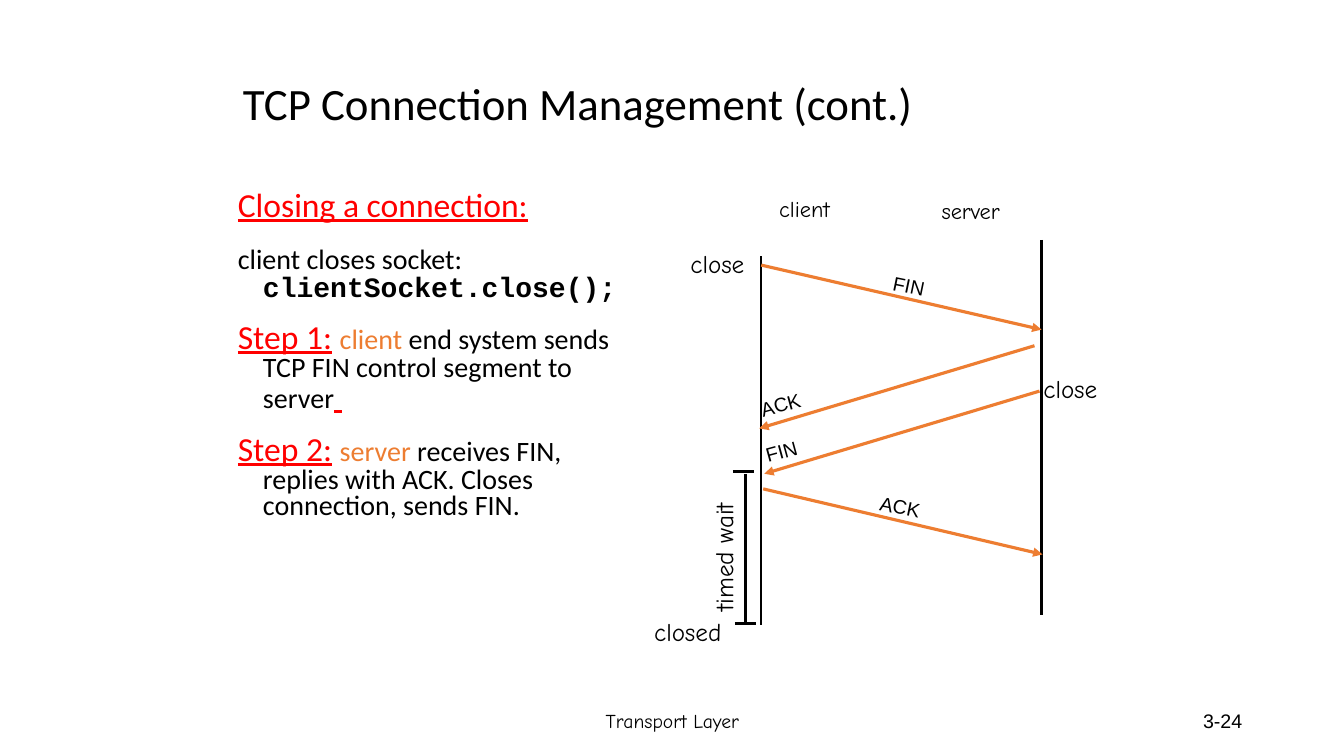
import pptx
import pptx.util
import pptx.dml.color
import pptx.enum.shapes
import pptx.enum.text
import pptx.oxml
import pptx.oxml.ns

Inches = pptx.util.Inches
Pt = pptx.util.Pt
ALIGN = pptx.enum.text.PP_ALIGN
ANCHOR = pptx.enum.text.MSO_ANCHOR
COLORS = {"black": "000000", "red": "FF0000", "orange": "ED7D31"}
HAND = "Comic Neue"
LEFT, RIGHT = 7.55, 10.33


def paint(color):
    return pptx.dml.color.RGBColor.from_string(COLORS[color])


def style(run, size=20, face="Calibri", color="black", bold=False, under=False):
    font = run.font
    font.size = Pt(size)
    font.name = face
    font.color.rgb = paint(color)
    font.bold = bold
    font.underline = under


def place(shape, box):
    shape.left, shape.top, shape.width, shape.height = map(Inches, box)


def text(slide, words, box, turn=0, wrap=False, align=ALIGN.LEFT,
         anchor=ANCHOR.TOP, **look):
    shape = slide.shapes.add_textbox(*map(Inches, box))
    shape.rotation = turn
    frame = shape.text_frame
    frame.word_wrap = wrap
    frame.vertical_anchor = anchor
    para = frame.paragraphs[0]
    para.alignment = align
    run = para.add_run()
    run.text = words
    style(run, **look)


def line(slide, start, end, color="black", width=2.25, arrow=False):
    kind = pptx.enum.shapes.MSO_CONNECTOR.STRAIGHT
    link = slide.shapes.add_connector(kind, *map(Inches, start + end))
    link.line.color.rgb = paint(color)
    link.line.width = Pt(width)
    if arrow:
        tail = pptx.oxml.parse_xml(
            f'<a:tailEnd {pptx.oxml.ns.nsdecls("a")} type="triangle"/>')
        link.line._get_or_add_ln().append(tail)
    link._element.spPr.append(
        pptx.oxml.parse_xml(f'<a:effectLst {pptx.oxml.ns.nsdecls("a")}/>'))


def title(slide, words):
    shape = slide.shapes.title
    place(shape, (2.31, 0.56, 8.5, 0.98))
    frame = shape.text_frame
    frame.auto_size = pptx.enum.text.MSO_AUTO_SIZE.NONE
    frame.vertical_anchor = ANCHOR.MIDDLE
    para = frame.paragraphs[0]
    para.alignment = ALIGN.LEFT
    para.line_spacing = 0.9
    run = para.add_run()
    run.text = words
    style(run, size=32)


def body(slide):
    head = {"size": 24, "color": "red", "under": True}
    gap = {"size": 24}
    accent = {"color": "orange"}
    code = {"face": "Courier New", "bold": True}
    paras = [
        [("Closing a connection:", head)],
        [("client closes socket:", {}), (" ", head),
         ("clientSocket.close();", code)],
        [("Step 1:", head), (" ", gap), ("client", accent),
         (" end system sends TCP FIN control segment to server", {}),
         (" ", head)],
        [("Step 2:", head), (" ", gap), ("server", accent),
         (" receives FIN, replies with ACK. Closes connection, sends FIN.", {})],
    ]
    shape = slide.shapes.add_textbox(*map(Inches, (2.26, 1.85, 4.11, 3.78)))
    frame = shape.text_frame
    frame.word_wrap = True
    for i, runs in enumerate(paras):
        para = frame.add_paragraph() if i else frame.paragraphs[0]
        para.line_spacing = 0.8
        para.space_before = Pt(14.5 if i else 0)
        props = para._p.get_or_add_pPr()
        props.set("marL", str(Inches(0.25)))
        props.set("indent", str(-Inches(0.25)))
        for words, look in runs:
            run = para.add_run()
            run.text = words
            style(run, **look)


def chart(slide):
    line(slide, (LEFT, 2.54), (LEFT, 6.2), width=1.5)
    line(slide, (RIGHT, 2.38), (RIGHT, 6.1), width=1.5)
    for start, end in [((LEFT, 2.63), (RIGHT, 3.27)),
                       ((10.26, 3.43), (7.53, 4.25)),
                       ((10.31, 3.88), (7.58, 4.7)),
                       ((7.57, 4.85), (10.34, 5.5))]:
        line(slide, start, end, color="orange", arrow=True)
    line(slide, (7.39, 4.7), (7.39, 6.17))
    for x, y in [(7.27, 4.68), (7.29, 6.19)]:
        line(slide, (x, y), (x + 0.21, y))

    for words, box, turn, wrap in [("FIN", (8.76, 2.68, 0.6, 0.33), 11.8, True),
                                   ("ACK", (7.4, 3.53, 2.99, 0.33), 344.6, True),
                                   ("FIN", (7.45, 3.98, 2.99, 0.33), 344.6, True),
                                   ("ACK", (8.63, 4.86, 0.6, 0.33), 11.8, False)]:
        text(slide, words, box, turn, wrap, size=14, face="Arial")
    for words, box, turn, size in [("client", (7.63, 1.89, 0.78, 0.37), 0, 16),
                                   ("server", (9.24, 1.91, 0.88, 0.37), 0, 16),
                                   ("close", (6.75, 2.41, 0.79, 0.4), 0, 18),
                                   ("close", (10.25, 3.65, 0.79, 0.4), 0, 18),
                                   ("closed", (6.39, 6.07, 0.94, 0.4), 0, 18),
                                   ("timed wait", (6.46, 5.25, 1.43, 0.4), 270, 18)]:
        text(slide, words, box, turn, size=size, face=HAND)


def main():
    deck = pptx.Presentation()
    deck.slide_width = Inches(13.33)
    deck.slide_height = Inches(7.5)
    slide = deck.slides.add_slide(deck.slide_layouts[5])
    title(slide, "TCP Connection Management (cont.)")
    body(slide)
    chart(slide)
    text(slide, "Transport Layer", (4.42, 6.95, 4.5, 0.4), wrap=True,
         align=ALIGN.CENTER, anchor=ANCHOR.MIDDLE, size=14, face=HAND)
    text(slide, "3-24", (9.42, 6.95, 3, 0.4), wrap=True,
         align=ALIGN.RIGHT, anchor=ANCHOR.MIDDLE, size=14, face="Arial")
    deck.save("out.pptx")


if __name__ == "__main__":
    main()
